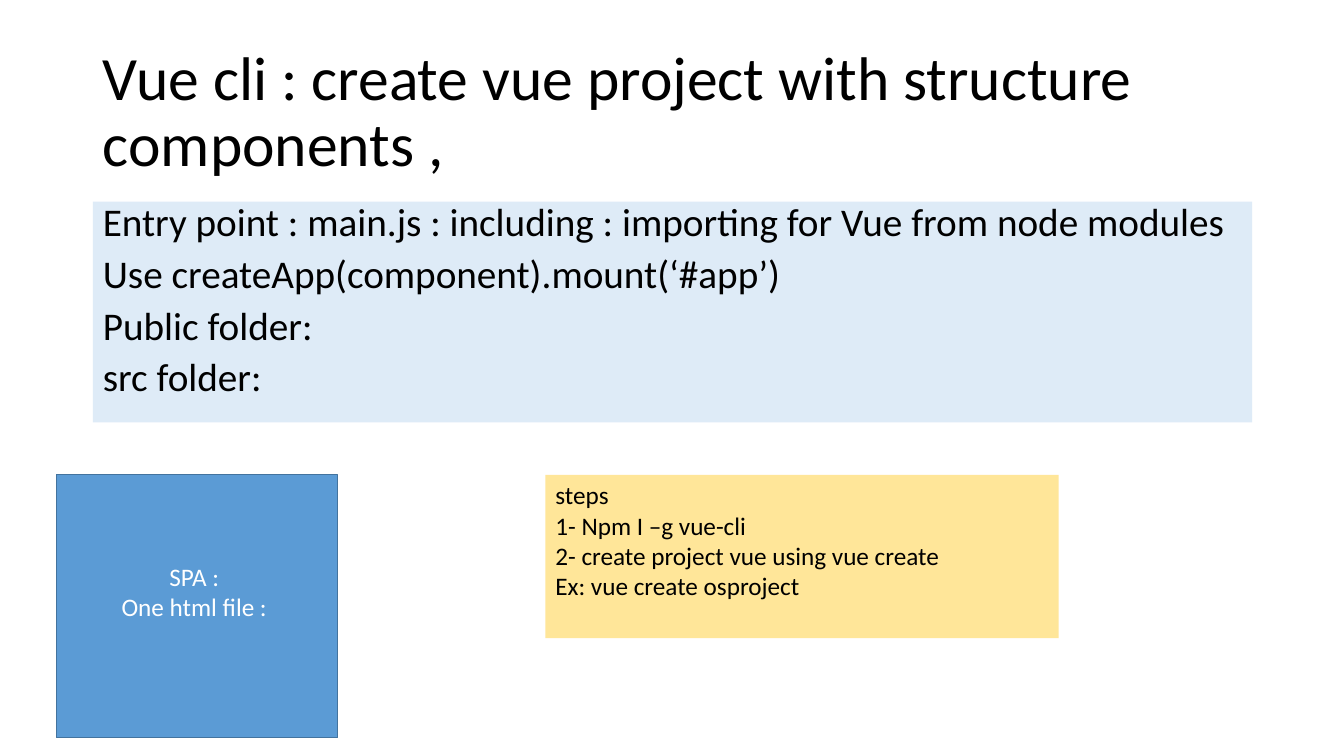
from dataclasses import dataclass, field

from lxml import etree
from pptx import Presentation
from pptx.dml.color import RGBColor
from pptx.enum.shapes import MSO_SHAPE
from pptx.enum.text import MSO_ANCHOR, MSO_AUTO_SIZE, PP_ALIGN
from pptx.oxml.ns import qn
from pptx.util import Inches, Pt

RECT = MSO_SHAPE.RECTANGLE
TOP, MIDDLE = MSO_ANCHOR.TOP, MSO_ANCHOR.MIDDLE
LEFT, CENTER = PP_ALIGN.LEFT, PP_ALIGN.CENTER
FIXED = MSO_AUTO_SIZE.NONE

WIDE, HIGH = 13.33, 7.5
FONT = "Calibri"
COLORS = {
    "ink": "000000",
    "white": "FFFFFF",
    "pale": "DEEBF7",
    "blue": "5B9BD5",
    "edge": "43739E",
    "sand": "FFE699",
}


@dataclass
class Panel:
    """A text panel; its box is left, top, width, height in inches."""
    box: tuple[float, float, float, float]
    lines: list[str]
    size: int
    ink: str = "ink"
    fill: str = ""
    edge: str = ""
    frame: dict = field(default_factory=dict)
    para: dict = field(default_factory=dict)


# Shared margins and rows
MARGIN, SPAN = 0.92, 11.5
LOW = 4.71

TITLE = Panel(
    (MARGIN, 0.4, SPAN, 1.45),
    ["Vue cli : create vue project with structure \vcomponents ,"], 44,
    frame={"vertical_anchor": MIDDLE},
    para={"line_spacing": 0.9},
)
BODY = Panel(
    (MARGIN, 2, SPAN, 2.19),
    ["Entry point : main.js : including : importing for Vue from node modules",
     "Use createApp(component).mount(‘#app’)",
     "Public folder:",
     "src folder:"], 28, fill="pale",
    para={"line_spacing": 0.8, "space_before": Pt(10)},
)
CARDS = [
    Panel(
        (0.56, LOW, 2.79, 2.61), ["SPA : ", "One html file : "], 18,
        ink="white", fill="blue", edge="edge",
        frame={"vertical_anchor": MIDDLE, "margin_bottom": Inches(0.35)},
        para={"alignment": CENTER},
    ),
    Panel(
        (5.41, LOW, 5.09, 1.62),
        ["steps",
         "1- Npm I –g vue-cli",
         "2- create project vue using vue create",
         "Ex: vue create osproject"], 18, fill="sand",
    ),
]


def color(name: str) -> RGBColor:
    return RGBColor.from_string(COLORS[name])


def assign(target, values: dict) -> None:
    for name, value in values.items():
        setattr(target, name, value)


def dress(shape, panel: Panel) -> None:
    """Place a shape, then fill it and write its text."""
    names = ("left", "top", "width", "height")
    assign(shape, dict(zip(names, map(Inches, panel.box))))
    if panel.fill:
        shape.fill.solid()
        shape.fill.fore_color.rgb = color(panel.fill)

    frame = shape.text_frame
    base = {"word_wrap": True, "auto_size": FIXED, "vertical_anchor": TOP}
    assign(frame, base | panel.frame)
    frame.text = "\n".join(panel.lines)
    for para in frame.paragraphs:
        assign(para, {"alignment": LEFT} | panel.para)
        for run in para.runs:
            assign(run.font, {"name": FONT, "size": Pt(panel.size)})
            run.font.color.rgb = color(panel.ink)


def unlist(shape) -> None:
    """Drop the bullets and indents of a list."""
    for para in shape.text_frame.paragraphs:
        props = para._p.get_or_add_pPr()
        props.set("marL", "0")
        props.set("indent", "0")
        etree.SubElement(props, qn("a:buNone"))


def card(slide, panel: Panel) -> None:
    shape = slide.shapes.add_shape(RECT, *map(Inches, panel.box))
    shape.shadow.inherit = False
    if panel.edge:
        shape.line.color.rgb = color(panel.edge)
        shape.line.width = Pt(1)
    else:
        shape.line.fill.background()
    dress(shape, panel)


def main() -> None:
    deck = Presentation()
    assign(deck, {"slide_width": Inches(WIDE), "slide_height": Inches(HIGH)})
    slide = deck.slides.add_slide(deck.slide_layouts[1])

    # Title and list
    dress(slide.shapes.title, TITLE)
    body = slide.placeholders[1]
    dress(body, BODY)
    unlist(body)

    # Lower cards
    for panel in CARDS:
        card(slide, panel)

    deck.save("out.pptx")


if __name__ == "__main__":
    main()
